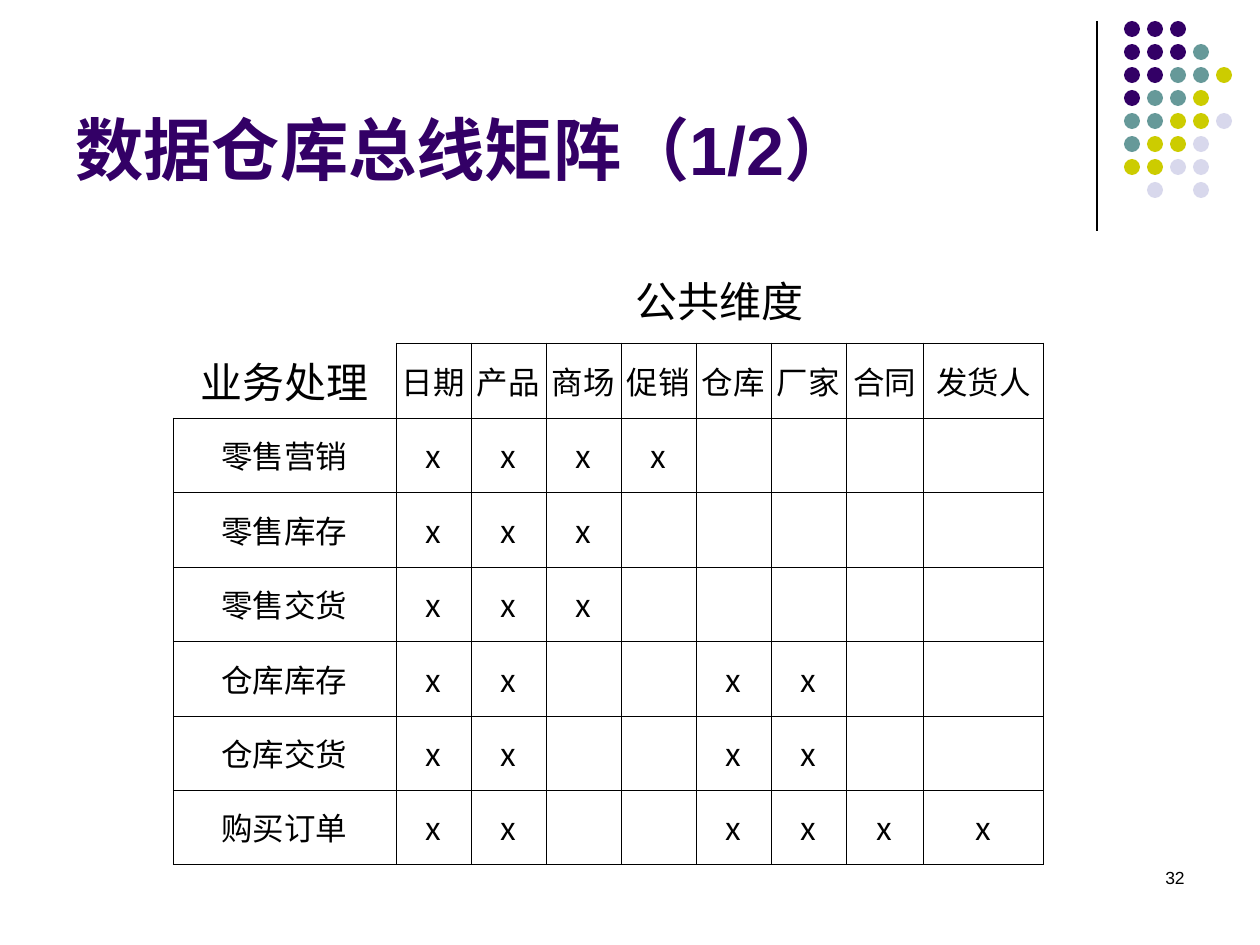
from lxml import etree
from pptx import Presentation
from pptx.dml.color import RGBColor
from pptx.enum.shapes import MSO_CONNECTOR, MSO_SHAPE
from pptx.enum.text import MSO_ANCHOR, PP_ALIGN
from pptx.oxml.ns import qn
from pptx.util import Emu, Pt

LEFT, CENTER, RIGHT = PP_ALIGN.LEFT, PP_ALIGN.CENTER, PP_ALIGN.RIGHT
MIDDLE, TOP, BOTTOM = MSO_ANCHOR.MIDDLE, MSO_ANCHOR.TOP, MSO_ANCHOR.BOTTOM
STRAIGHT, OVAL = MSO_CONNECTOR.STRAIGHT, MSO_SHAPE.OVAL
LATIN, CJK = "Arial", "Noto Sans CJK SC"
BLACK, PURPLE = "000000", "330066"

# Content
TITLE = "数据仓库总线矩阵（1/2）"
PAGE = "32"
DIMENSION_HEAD, PROCESS_HEAD = "公共维度", "业务处理"
DIMENSIONS = ["日期", "产品", "商场", "促销", "仓库", "厂家", "合同", "发货人"]
PROCESSES = {
    "零售营销": ["日期", "产品", "商场", "促销"],
    "零售库存": ["日期", "产品", "商场"],
    "零售交货": ["日期", "产品", "商场"],
    "仓库库存": ["日期", "产品", "仓库", "厂家"],
    "仓库交货": ["日期", "产品", "仓库", "厂家"],
    "购买订单": ["日期", "产品", "仓库", "厂家", "合同", "发货人"],
}
DOT_COLORS = {"P": PURPLE, "T": "669999", "Y": "CCCC00", "L": "D8D8EC"}
DOT_ROWS = ["PPP", "PPPT", "PPTTY", "PTTY", "TTYYL", "TYYL", "YYLL", " L L"]

# Layout in px
DOT_X, DOT_Y, DOT_PITCH, DOT_SIZE = 1124, 21, 23, 16
TABLE_X, TABLE_Y = 173, 255
COL_WIDTHS = [223] + [75] * 6 + [78, 120]
ROW_HEIGHTS = [88] + [75, 74] * 3 + [75]


def px(n):
    return Emu(round(n * 914400 / 126))


def rgb(color):
    return RGBColor.from_string(color)


def write(tf, text, size, font, color=BLACK, align=CENTER, bold=False):
    p = tf.paragraphs[0]
    p.text = text
    p.alignment = align
    f = p.font
    f.size, f.name, f.bold = Pt(size), font, bold
    f.color.rgb = rgb(color)
    ea = etree.SubElement(p._p.pPr.find(qn("a:defRPr")), qn("a:ea"))
    ea.set("typeface", CJK)


def add_text(s, box, text, size, color, align, anchor, bold=False):
    tf = s.shapes.add_textbox(*map(px, box)).text_frame
    tf.word_wrap = True
    tf.vertical_anchor = anchor
    write(tf, text, size, LATIN, color, align, bold)


def set_borders(cell, sides):
    tcPr = cell._tc.get_or_add_tcPr()
    for side in "LRTB":
        ln = etree.SubElement(tcPr, qn(f"a:ln{side}"), w=str(Pt(0.23)))
        if side in sides:
            fill = etree.SubElement(ln, qn("a:solidFill"))
            etree.SubElement(fill, qn("a:srgbClr"), val=BLACK)
        else:
            etree.SubElement(ln, qn("a:noFill"))


def borders_at(row, col):
    if row == 0:
        return "B" if col else ""
    return "RB" if (row, col) == (1, 0) else "LRTB"


prs = Presentation()
prs.slide_width, prs.slide_height = px(1260), px(945)
s = prs.slides.add_slide(prs.slide_layouts[6])

# Vertical rule
rule = s.shapes.add_connector(STRAIGHT, px(1097), px(21), px(1097), px(231))
rule.line.color.rgb = rgb(BLACK)
rule.line.width = Pt(0.75)
etree.SubElement(rule._element.spPr, qn("a:effectLst"))

# Dot pattern
dots = s.shapes.add_group_shape()
for row, codes in enumerate(DOT_ROWS):
    for col, code in enumerate(codes):
        if code in DOT_COLORS:
            dot = dots.shapes.add_shape(
                OVAL, px(DOT_X + col * DOT_PITCH), px(DOT_Y + row * DOT_PITCH),
                px(DOT_SIZE), px(DOT_SIZE))
            dot.shadow.inherit = False
            dot.fill.solid()
            dot.fill.fore_color.rgb = rgb(DOT_COLORS[code])
            dot.line.fill.background()

# Page number and title
add_text(s, (903, 861, 294, 63), PAGE, 10, BLACK, RIGHT, TOP)
add_text(s, (63, 16, 1040, 179), TITLE, 39, PURPLE, LEFT, BOTTOM, True)

# Bus matrix
grid = [["", DIMENSION_HEAD] + [""] * (len(DIMENSIONS) - 1),
        [PROCESS_HEAD] + DIMENSIONS]
for process, used in PROCESSES.items():
    grid.append([process] + ["x" if d in used else "" for d in DIMENSIONS])

table = s.shapes.add_table(
    len(grid), len(COL_WIDTHS), px(TABLE_X), px(TABLE_Y),
    px(sum(COL_WIDTHS)), px(sum(ROW_HEIGHTS))).table
table.first_row = table.horz_banding = False
for column, width in zip(table.columns, COL_WIDTHS):
    column.width = px(width)
for table_row, height in zip(table.rows, ROW_HEIGHTS):
    table_row.height = px(height)
table.cell(0, 1).merge(table.cell(0, len(DIMENSIONS)))

for row, texts in enumerate(grid):
    for col, text in enumerate(texts):
        cell = table.cell(row, col)
        cell.margin_left = cell.margin_right = px(1)
        cell.vertical_anchor = MIDDLE
        set_borders(cell, borders_at(row, col))
        cell.fill.background()
        if text:
            size = 24 if text in (DIMENSION_HEAD, PROCESS_HEAD) else 18
            write(cell.text_frame, text, size, CJK)

prs.save("out.pptx")
